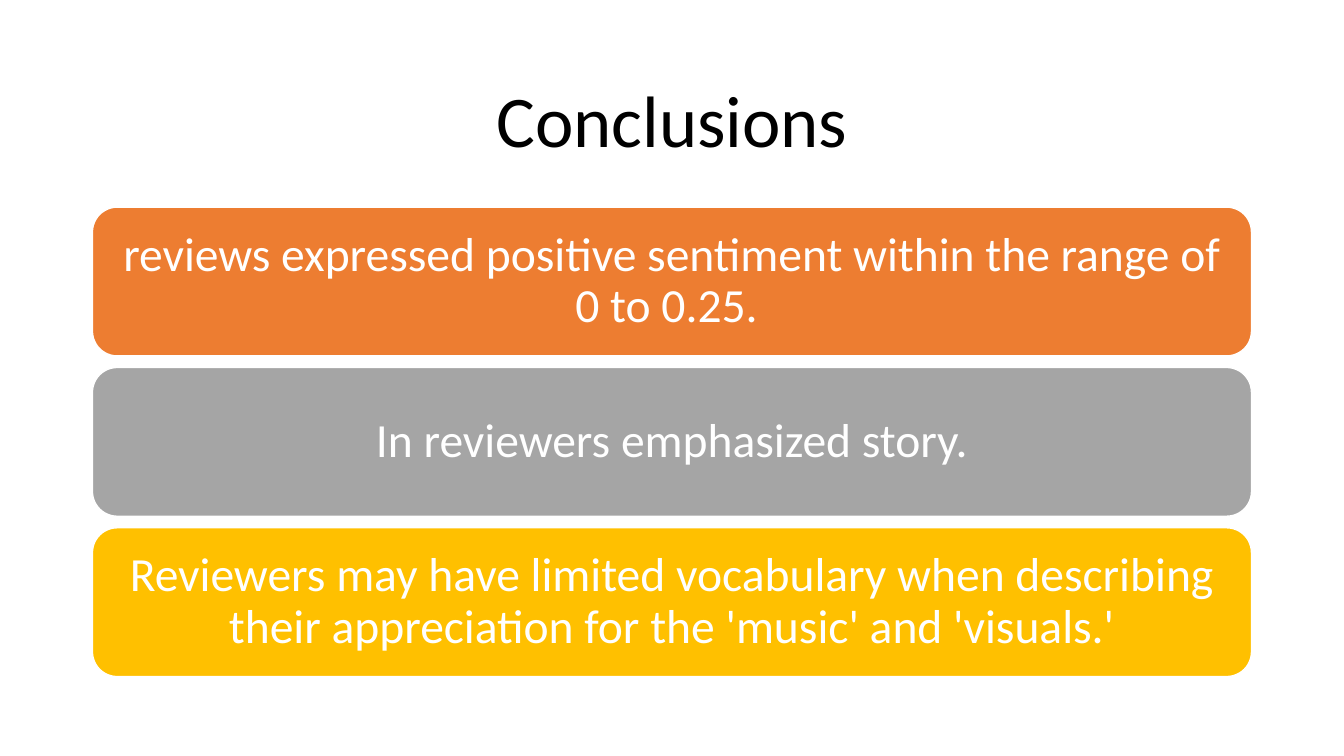
from pptx import Presentation
from pptx.dml.color import RGBColor
from pptx.enum.shapes import MSO_SHAPE
from pptx.enum.text import MSO_ANCHOR, PP_ALIGN
from pptx.util import Cm, Pt

ROUNDED = MSO_SHAPE.ROUNDED_RECTANGLE
MIDDLE = MSO_ANCHOR.MIDDLE
CENTER = PP_ALIGN.CENTER

BLACK = RGBColor(0x00, 0x00, 0x00)
WHITE = RGBColor(0xFF, 0xFF, 0xFF)
ORANGE = RGBColor(0xED, 0x7D, 0x31)
GRAY = RGBColor(0xA5, 0xA5, 0xA5)
GOLD = RGBColor(0xFF, 0xC0, 0x00)

LEFT, WIDTH = 2.33, 29.21
CARD_TOP, CARD_HEIGHT, CARD_PITCH = 5.22, 3.75, 4.04

CONCLUSIONS = [
    ("reviews expressed positive sentiment within the range of 0 to 0.25. ", ORANGE),
    ("In reviewers emphasized story.", GRAY),
    ("Reviewers may have limited vocabulary when describing their "
     "appreciation for the 'music' and 'visuals.'", GOLD),
]


def write_text(shape, text, size, color, inset=None):
    frame = shape.text_frame
    frame.word_wrap = True
    frame.vertical_anchor = MIDDLE
    if inset is not None:
        frame.margin_left = frame.margin_right = Cm(inset)
        frame.margin_top = frame.margin_bottom = Cm(inset)
    paragraph = frame.paragraphs[0]
    paragraph.alignment = CENTER
    paragraph.line_spacing = 0.9
    run = paragraph.add_run()
    run.text = text
    run.font.name = "Calibri"
    run.font.size = Pt(size)
    run.font.color.rgb = color


class ConclusionSlide:
    def __init__(self, presentation):
        self.slide = presentation.slides.add_slide(presentation.slide_layouts[6])
        self.title_size = 52
        self.card_size = 34

    def title(self, text, top, height):
        box = self.slide.shapes.add_textbox(Cm(LEFT), Cm(top), Cm(WIDTH), Cm(height))
        write_text(box, text, size=self.title_size, color=BLACK)

    def card(self, text, top, fill):
        shape = self.slide.shapes.add_shape(
            ROUNDED, Cm(LEFT), Cm(top), Cm(WIDTH), Cm(CARD_HEIGHT))
        shape.shadow.inherit = False
        shape.fill.solid()
        shape.fill.fore_color.rgb = fill
        shape.line.color.rgb = WHITE
        shape.line.width = Pt(1)
        write_text(shape, text, size=self.card_size, color=WHITE, inset=0.36)


def main():
    presentation = Presentation()
    presentation.slide_width = Cm(33.87)
    presentation.slide_height = Cm(19.05)
    page = ConclusionSlide(presentation)
    page.title("Conclusions", top=1.55, height=3.15)
    for index, (text, fill) in enumerate(CONCLUSIONS):
        page.card(text, top=CARD_TOP + index * CARD_PITCH, fill=fill)
    presentation.save("out.pptx")


if __name__ == "__main__":
    main()
